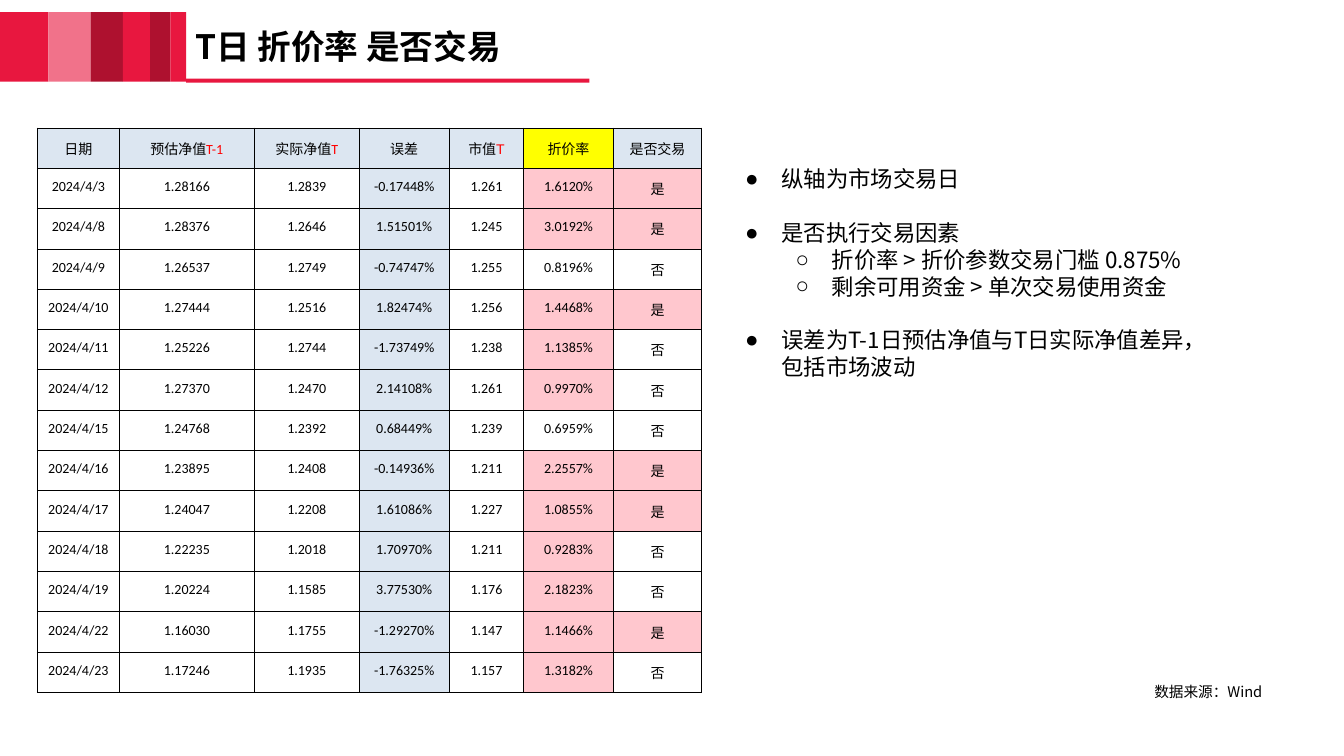
from lxml.etree import SubElement
from pptx import Presentation
from pptx.dml.color import RGBColor
from pptx.enum.shapes import MSO_SHAPE as Shape
from pptx.enum.text import MSO_ANCHOR as Anchor, PP_ALIGN as Align
from pptx.oxml.ns import qn
from pptx.util import Inches, Pt

RED = RGBColor(0xE8, 0x17, 0x3F)
ROSE = RGBColor(0xF1, 0x72, 0x8A)
CRIMSON = RGBColor(0xAE, 0x11, 0x2F)
BLACK = RGBColor(0, 0, 0)
WHITE = RGBColor(0xFF, 0xFF, 0xFF)
MARK_RED = RGBColor(0xFF, 0, 0)
PALE_BLUE = RGBColor(0xDC, 0xE6, 0xF1)
YELLOW = RGBColor(0xFF, 0xFF, 0)
PINK = RGBColor(0xFF, 0xC7, 0xCE)

WIDTH, HEIGHT = Inches(13.33), Inches(7.5)
COLUMN, ROW = WIDTH / 100, HEIGHT / 75
CJK = "Noto Sans CJK SC"

BANDS = [(3.6, RED), (3.15, ROSE), (2.4, CRIMSON), (2.03, RED), (1.5, CRIMSON), (1.17, RED)]
THRESHOLD = 0.875  # percent
ERROR, DISCOUNT, DECISION = 3, 5, 6
TABLE_COLUMNS = [6.1, 10.05, 7.8, 6.7, 5.55, 6.65, 6.6]
# label, day mark, font of the mark
HEADERS = [
    ("日期", "", ""), ("预估净值", "T-1", "Calibri"), ("实际净值", "T", "Calibri"),
    ("误差", "", ""), ("市值", "T", "Arial"), ("折价率", "", ""), ("是否交易", "", ""),
]
TRADES = """
2024/4/3 1.28166 1.2839 -0.17448% 1.261 1.6120% 是
2024/4/8 1.28376 1.2646 1.51501% 1.245 3.0192% 是
2024/4/9 1.26537 1.2749 -0.74747% 1.255 0.8196% 否
2024/4/10 1.27444 1.2516 1.82474% 1.256 1.4468% 是
2024/4/11 1.25226 1.2744 -1.73749% 1.238 1.1385% 否
2024/4/12 1.27370 1.2470 2.14108% 1.261 0.9970% 否
2024/4/15 1.24768 1.2392 0.68449% 1.239 0.6959% 否
2024/4/16 1.23895 1.2408 -0.14936% 1.211 2.2557% 是
2024/4/17 1.24047 1.2208 1.61086% 1.227 1.0855% 是
2024/4/18 1.22235 1.2018 1.70970% 1.211 0.9283% 否
2024/4/19 1.20224 1.1585 3.77530% 1.176 2.1823% 否
2024/4/22 1.16030 1.1755 -1.29270% 1.147 1.1466% 是
2024/4/23 1.17246 1.1935 -1.76325% 1.157 1.3182% 否
"""
# level, text
NOTES = [
    (0, "纵轴为市场交易日"),
    (0, "是否执行交易因素"),
    (1, "折价率 > 折价参数交易门槛 0.875%"),
    (1, "剩余可用资金 > 单次交易使用资金"),
    (0, "误差为T-1日预估净值与T日实际净值差异，包括市场波动"),
]


def grid(left, top, width, height):
    return round(left * COLUMN), round(top * ROW), round(width * COLUMN), round(height * ROW)


def style(run, size, font, color=BLACK, bold=False):
    run.font.size, run.font.name, run.font.bold = Pt(size), font, bold
    run.font.color.rgb = color
    if font == CJK:
        SubElement(run.font._element, qn("a:ea"), typeface=font)


def add_bar(slide, place, color):
    bar = slide.shapes.add_shape(Shape.RECTANGLE, *grid(*place))
    bar.shadow.inherit = False
    bar.fill.solid()
    bar.fill.fore_color.rgb = color
    bar.line.fill.background()


def add_text_frame(slide, place):
    frame = slide.shapes.add_textbox(*grid(*place)).text_frame
    frame.word_wrap = True
    frame.margin_left = frame.margin_top = frame.margin_right = frame.margin_bottom = 0
    return frame


def add_banner(slide):
    left = 0
    for width, color in BANDS:
        add_bar(slide, (left, 1.2, width, 6.9), color)
        left += width
    add_bar(slide, (left, 7.8, 30, 0.4), RED)


def add_title(slide):
    frame = add_text_frame(slide, (14.55, 3.1, 36.46, 3.4))
    frame.vertical_anchor = Anchor.MIDDLE
    frame.text = "T日 折价率 是否交易"
    frame.paragraphs[0].line_spacing = 0.9
    style(frame.paragraphs[0].runs[0], 24, CJK, bold=True)


def add_source(slide):
    frame = add_text_frame(slide, (73.22, 67.7, 20.7, 1.8))
    frame.text = "数据来源：Wind"
    frame.paragraphs[0].alignment = Align.RIGHT
    style(frame.paragraphs[0].runs[0], 10.5, CJK)


def set_bullet(paragraph, level):
    paragraph.level = level
    props = paragraph._p.get_or_add_pPr()
    props.set("marL", str(Inches(0.5 * (level + 1))))
    props.set("indent", str(Inches(-0.36)))
    SubElement(SubElement(props, qn("a:buClr")), qn("a:srgbClr"), val=str(BLACK))
    SubElement(props, qn("a:buFont"), typeface="Arial")
    SubElement(props, qn("a:buChar"), char="●○"[level])


def add_notes_list(slide):
    frame = add_text_frame(slide, (54.39, 16.4, 36.46, 21.5))
    frame.text = "\n".join(text for _, text in NOTES)
    for index, (paragraph, (level, _)) in enumerate(zip(frame.paragraphs, NOTES)):
        set_bullet(paragraph, level)
        if index and level == 0:
            paragraph.space_before = Pt(19.2)
        style(paragraph.runs[0], 16, CJK)


def set_borders(cell):
    props = cell._tc.get_or_add_tcPr()
    for side in ("lnL", "lnR", "lnT", "lnB"):
        line = SubElement(props, qn(f"a:{side}"), w=str(Pt(0.75)))
        SubElement(SubElement(line, qn("a:solidFill")), qn("a:srgbClr"), val=str(BLACK))


def fill_cell(cell, fill, pieces):
    """Each piece is a text, its font and its colour."""
    cell.margin_left = cell.margin_right = Inches(0.07)
    cell.margin_top = cell.margin_bottom = Inches(0.1)
    set_borders(cell)
    cell.fill.solid()
    cell.fill.fore_color.rgb = fill
    paragraph = cell.text_frame.paragraphs[0]
    paragraph.alignment = Align.CENTER
    for text, font, color in pieces:
        run = paragraph.add_run()
        run.text = text
        style(run, 10, font, color)


def trade_fill(column, value):
    if column == ERROR:
        return PALE_BLUE
    over = column == DISCOUNT and float(value.rstrip("%")) > THRESHOLD
    return PINK if over or value == "是" else WHITE


def add_trade_table(slide):
    trades = [line.split() for line in TRADES.strip().splitlines()]
    rows = len(trades) + 1
    place = grid(2.78, 12.7, sum(TABLE_COLUMNS), 4 * rows)
    table = slide.shapes.add_table(rows, len(HEADERS), *place).table
    for column, width in zip(table.columns, TABLE_COLUMNS):
        column.width = round(width * COLUMN)
    for column, (label, day, day_font) in enumerate(HEADERS):
        pieces = [(label, "Arial", BLACK)]
        if day:
            pieces.append((day, day_font, MARK_RED))
        fill_cell(table.cell(0, column), YELLOW if column == DISCOUNT else PALE_BLUE, pieces)
    for row, trade in enumerate(trades, 1):
        for column, value in enumerate(trade):
            fill_cell(table.cell(row, column), trade_fill(column, value), [(value, "Calibri", BLACK)])


def main():
    deck = Presentation()
    deck.slide_width, deck.slide_height = WIDTH, HEIGHT
    slide = deck.slides.add_slide(deck.slide_layouts[6])
    add_banner(slide)
    add_source(slide)
    add_notes_list(slide)
    add_title(slide)
    add_trade_table(slide)
    deck.save("out.pptx")


if __name__ == "__main__":
    main()
